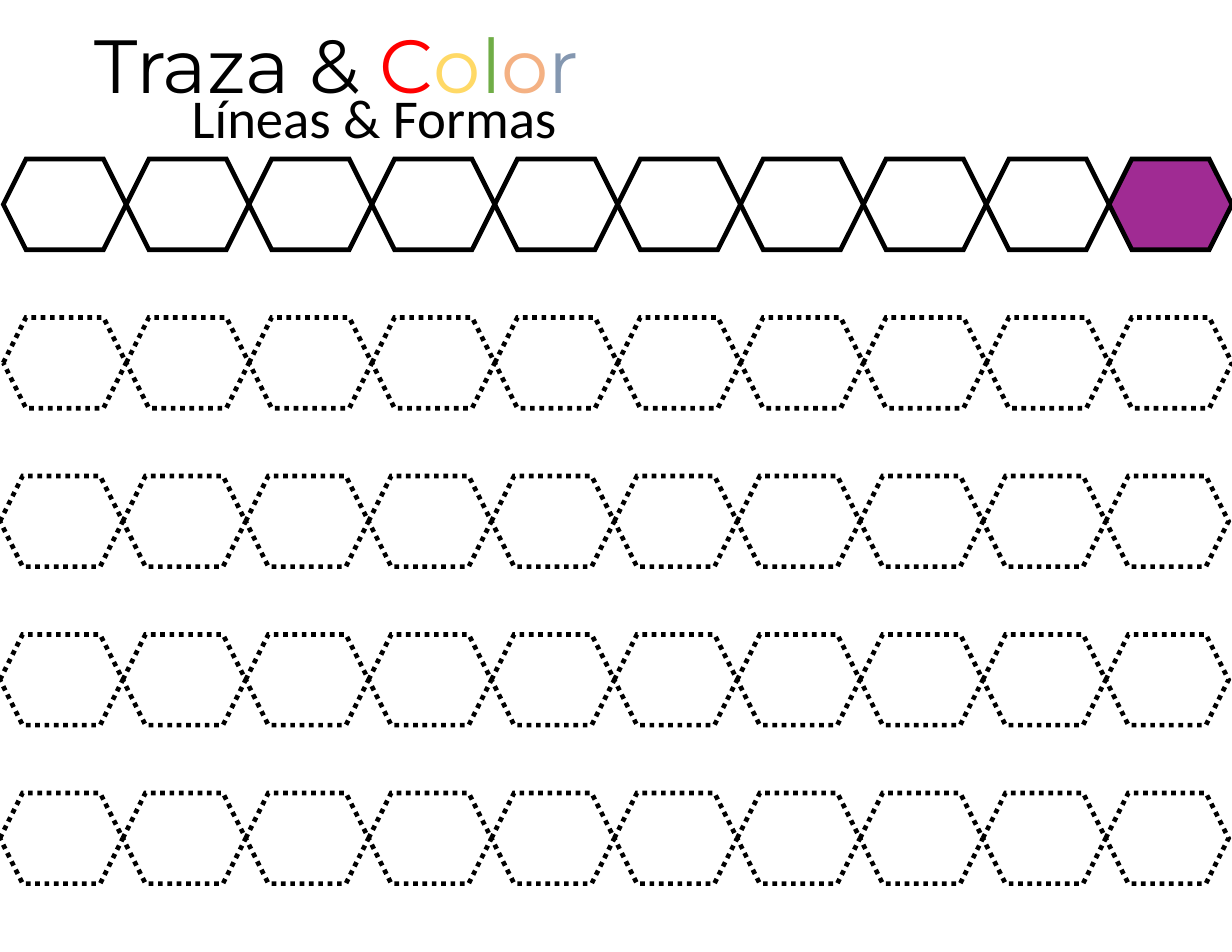
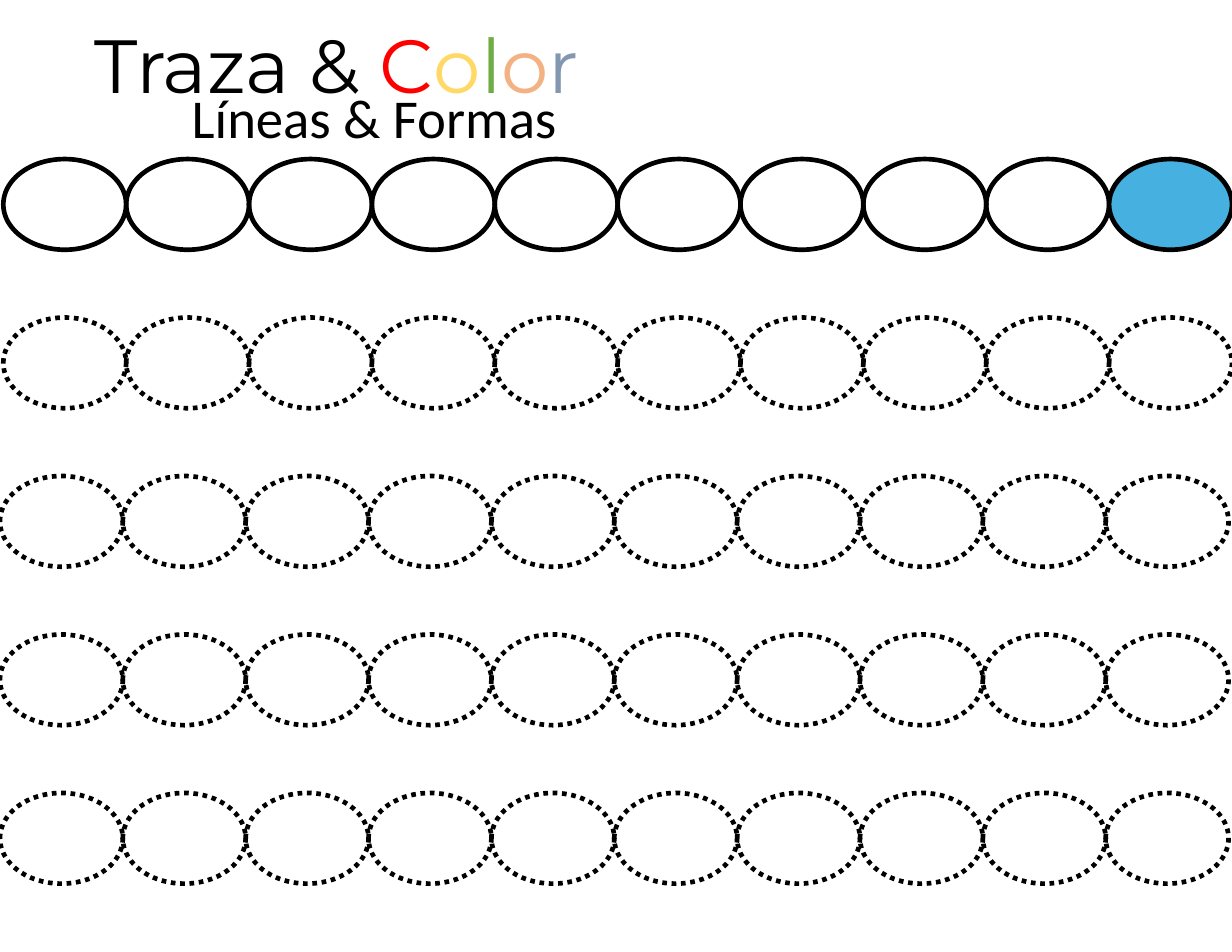
import pptx
import pptx.util
import pptx.dml.color
import pptx.enum.dml
import pptx.enum.shapes
import pptx.enum.text
import pptx.oxml.ns
from lxml import etree

# Content
BLACK = "000000"
TITLE = [("Traza & ", BLACK), ("C", "FF0000"), ("o", "FFD966"),
         ("l", "70AD47"), ("o", "F4B183"), ("r", "8497B0")]
SUB = [("Líneas & Formas", BLACK)]
KIND = pptx.enum.shapes.MSO_SHAPE
SHEETS = [(KIND.HEXAGON, "A02B93"), (KIND.FLOWCHART_CONNECTOR, "46B1E1")]

# Grid, in inches
WIDE, HIGH = 11, 8.5
ROWS, COLS = 5, 10
SHIFT = 0.03            # the first two rows sit slightly to the right
STEP = (WIDE - SHIFT) / COLS
TOP, LAST, TALL = 1.42, 7.08, 0.81
DROP = (LAST - TOP) / (ROWS - 1)

ALIGN = pptx.enum.text.PP_ALIGN
Inches = pptx.util.Inches
Pt = pptx.util.Pt


def color(code):
    return pptx.dml.color.RGBColor.from_string(code)


def write(box, place, runs, font, size, align):
    box.left, box.top, box.width, box.height = map(Inches, place)
    frame = box.text_frame
    frame.word_wrap = True
    frame.auto_size = pptx.enum.text.MSO_AUTO_SIZE.SHAPE_TO_FIT_TEXT
    frame.vertical_anchor = pptx.enum.text.MSO_ANCHOR.TOP
    para = frame.paragraphs[0]
    para.alignment = align
    para.space_before = Pt(0)
    for text, tint in runs:
        run = para.add_run()
        run.text = text
        run.font.name = font
        run.font.size = Pt(size)
        run.font.color.rgb = color(tint)


def outline(shape, dotted):
    line = shape.line
    line.color.rgb = color(BLACK)
    line.width = Pt(3)
    if dotted:
        line.dash_style = pptx.enum.dml.MSO_LINE.ROUND_DOT
    edge = shape.element.spPr.find(pptx.oxml.ns.qn("a:ln"))
    etree.SubElement(edge, pptx.oxml.ns.qn("a:miter"), lim="800000")


def draw_row(slide, kind, row, tint):
    group = slide.shapes.add_group_shape()
    start = SHIFT if row < 2 else 0
    for col in range(COLS):
        shape = group.shapes.add_shape(
            kind, Inches(start + col * STEP), Inches(TOP + row * DROP),
            Inches(STEP), Inches(TALL))
        shape.shadow.inherit = False
        outline(shape, dotted=row > 0)
        # The last shape of the first row is the coloured sample
        if row == 0 and col == COLS - 1:
            shape.fill.solid()
            shape.fill.fore_color.rgb = color(tint)
        else:
            shape.fill.background()


def add_sheet(deck, kind, tint):
    slide = deck.slides.add_slide(deck.slide_layouts[0])
    write(slide.shapes.title, (0.74, 0.11, 5.36, 0.92), TITLE,
          "Montserrat", 48.4, ALIGN.LEFT)
    write(slide.placeholders[1], (0.78, 0.7, 5.12, 0.69), SUB,
          "Calibri", 35.2, ALIGN.CENTER)
    for row in range(ROWS):
        draw_row(slide, kind, row, tint)


def main():
    deck = pptx.Presentation()
    deck.slide_width, deck.slide_height = Inches(WIDE), Inches(HIGH)
    for kind, tint in SHEETS:
        add_sheet(deck, kind, tint)
    deck.save("out.pptx")


if __name__ == "__main__":
    main()
